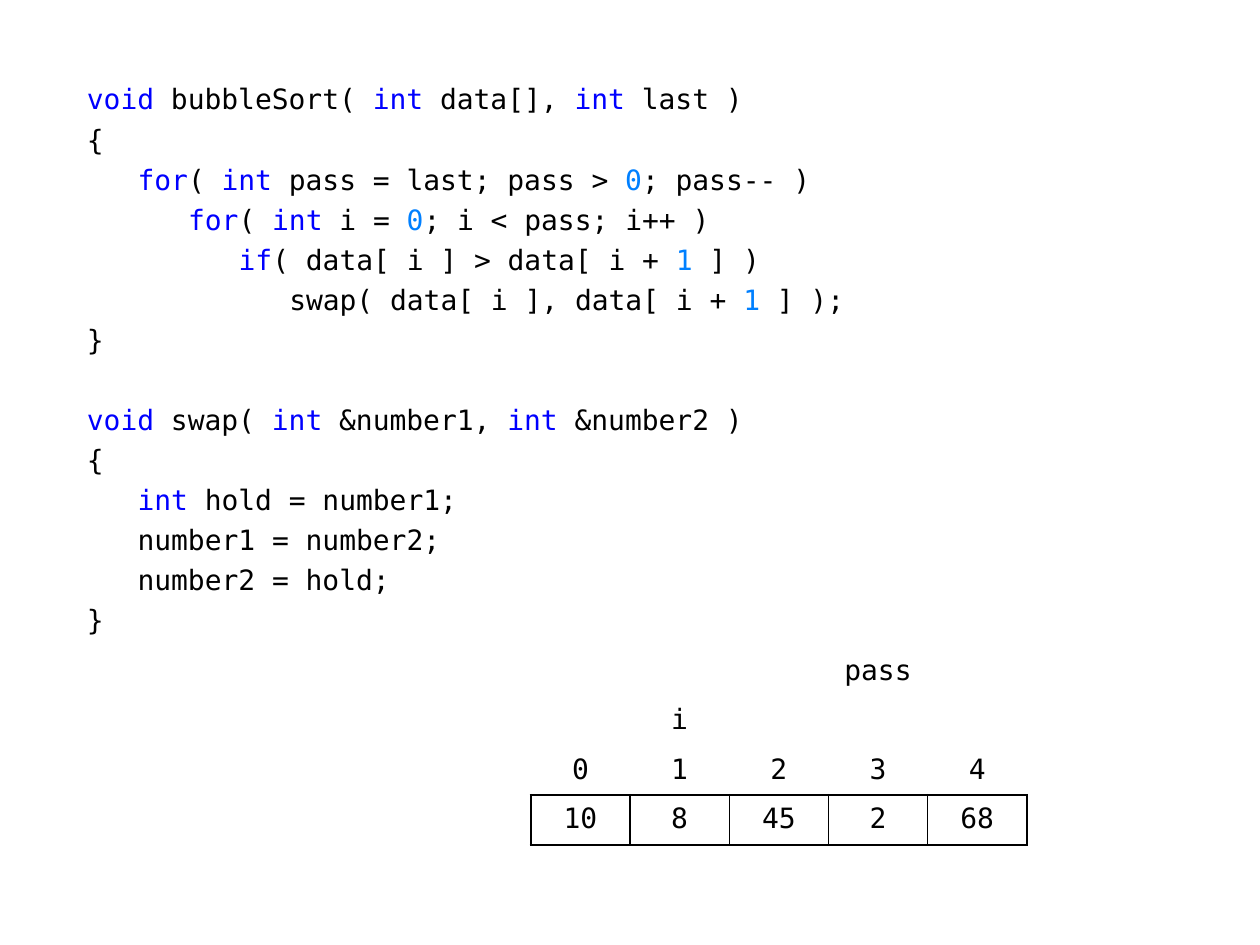
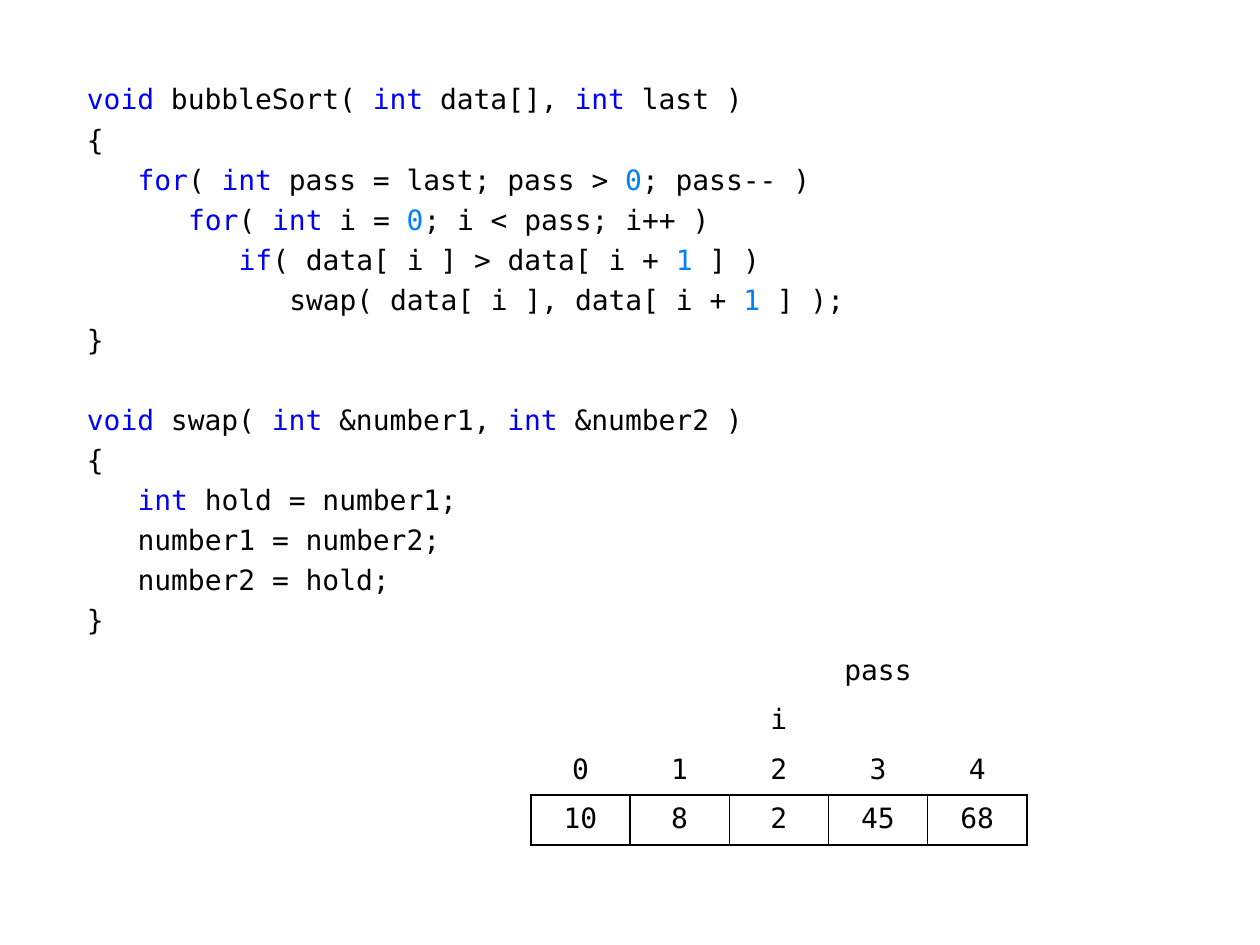
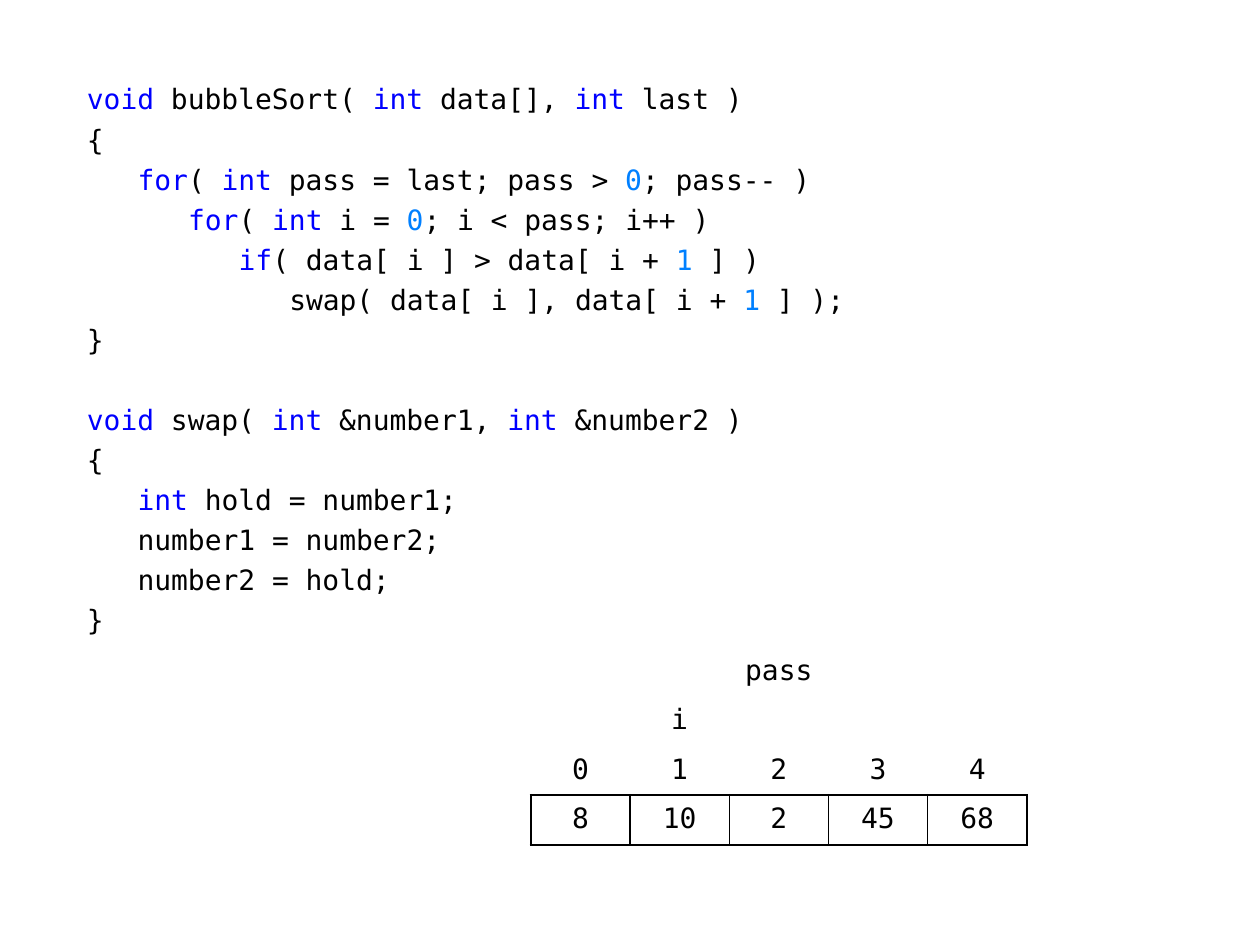
from dataclasses import dataclass
from itertools import groupby

from lxml import etree
from pptx import Presentation
from pptx.dml.color import RGBColor
from pptx.enum import text
from pptx.oxml import ns
from pptx.util import Pt


@dataclass(frozen=True)
class Theme:
    font: str = "DejaVu Sans Mono"
    size: float = 16
    ink: str = "000000"
    keyword: str = "0000FF"
    number: str = "0080FF"
    paper: str = "FFFFFF"
    thick: float = 1.5
    thin: float = 0.75


theme = Theme()
KEYWORDS = {"void", "int", "for", "if"}
FUNCTIONS = [
    [
        (0, "void bubbleSort( int data[], int last )"),
        (0, "{"),
        (1, "for( int pass = last; pass > 0; pass-- )"),
        (2, "for( int i = 0; i < pass; i++ )"),
        (3, "if( data[ i ] > data[ i + 1 ] )"),
        (4, "swap( data[ i ], data[ i + 1 ] );"),
        (0, "}"),
    ],
    [
        (0, "void swap( int &number1, int &number2 )"),
        (0, "{"),
        (1, "int hold = number1;"),
        (1, "number1 = number2;"),
        (1, "number2 = hold;"),
        (0, "}"),
    ],
]
# Position of pass, position of i, array values
STEPS = [
    (3, 1, [10, 8, 45, 2, 68]),
    (3, 2, [10, 8, 2, 45, 68]),
    (2, 1, [8, 10, 2, 45, 68]),
]
INDENT = 28.9  # three characters of code
LINE_GAP = 3.75
FUNCTION_GAP = 26.15
COLUMN, ROW = 56.7, 28.35
CODE_BOX = {"left": 42.5, "top": 43.2, "width": 635, "height": 329}
CELL_MARGINS = {"margin_left": 3, "margin_right": 3, "margin_top": 2.25, "margin_bottom": 3}
NO_STYLE = "{2D5ABB26-0587-4C30-8999-92F81FD0307C}"


def add_code(paragraph, code):
    """Add runs of code, coloured by kind of word."""
    def color_of(word):
        if word in KEYWORDS:
            return theme.keyword
        return theme.number if word.isdigit() else theme.ink

    words = ["".join(letters) for _, letters in groupby(code, str.isalnum)]
    for color, group in groupby(words, color_of):
        run = paragraph.add_run()
        run.text = "".join(group)
        run.font.name, run.font.size = theme.font, Pt(theme.size)
        run.font.color.rgb = RGBColor.from_string(color)


def add_borders(cell, widths):
    """Draw the sides named in widths, which must be in the order L, R, T, B."""
    properties = cell._tc.get_or_add_tcPr()
    for position, (side, width) in enumerate(widths.items()):
        line = etree.Element(ns.qn(f"a:ln{side}"), w=str(Pt(width)))
        fill = etree.SubElement(line, ns.qn("a:solidFill"))
        etree.SubElement(fill, ns.qn("a:srgbClr"), val=theme.ink)
        properties.insert(position, line)


presentation = Presentation()
presentation.slide_width, presentation.slide_height = Pt(720), Pt(540)

for pass_index, i_index, values in STEPS:
    slide = presentation.slides.add_slide(presentation.slide_layouts[1])
    slide.background.fill.solid()
    slide.background.fill.fore_color.rgb = RGBColor.from_string(theme.paper)
    title = slide.shapes.title
    title.element.getparent().remove(title.element)

    # Source code
    body = slide.placeholders[1]
    for name, value in CODE_BOX.items():
        setattr(body, name, Pt(value))
    frame = body.text_frame
    frame.auto_size = text.MSO_AUTO_SIZE.NONE
    paragraph = frame.paragraphs[0]
    for function_number, function in enumerate(FUNCTIONS):
        for line_number, (level, code) in enumerate(function):
            gap = LINE_GAP
            if line_number == 0:
                gap = FUNCTION_GAP if function_number else 0
            if function_number or line_number:
                paragraph = frame.add_paragraph()
            paragraph.space_before = Pt(gap)
            properties = paragraph._p.get_or_add_pPr()
            properties.set("marL", str(Pt(level * INDENT)))
            properties.set("indent", "0")
            etree.SubElement(properties, ns.qn("a:buNone"))
            add_code(paragraph, code)

    # Array with its indexes and the two loop variables
    count = len(values)
    rows = [
        ["pass" if column == pass_index else "" for column in range(count)],
        ["i" if column == i_index else "" for column in range(count)],
        range(count),
        values,
    ]
    table = slide.shapes.add_table(
        len(rows), count, Pt(303.3), Pt(369.3), Pt(count * COLUMN), Pt(len(rows) * ROW)
    ).table
    table.first_row = table.horz_banding = False
    table._tbl.tblPr.find(ns.qn("a:tableStyleId")).text = NO_STYLE
    for row_number, row in enumerate(rows):
        for column, content in enumerate(row):
            cell = table.cell(row_number, column)
            cell.vertical_anchor = text.MSO_ANCHOR.MIDDLE
            for name, value in CELL_MARGINS.items():
                setattr(cell, name, Pt(value))
            cell.fill.background()
            if content != "":
                paragraph = cell.text_frame.paragraphs[0]
                paragraph.alignment = text.PP_ALIGN.CENTER
                run = paragraph.add_run()
                run.text = str(content)
                run.font.name, run.font.size = theme.font, Pt(theme.size)
                run.font.color.rgb = RGBColor.from_string(theme.ink)
            if row is values:
                if column:
                    cell.fill.solid()
                    cell.fill.fore_color.rgb = RGBColor.from_string(theme.paper)
                add_borders(cell, {
                    "L": theme.thin if column else theme.thick,
                    "R": theme.thin if column < count - 1 else theme.thick,
                    "T": theme.thick,
                    "B": theme.thick,
                })
            elif row_number == len(rows) - 2:
                add_borders(cell, {"B": theme.thick})

presentation.save("out.pptx")
